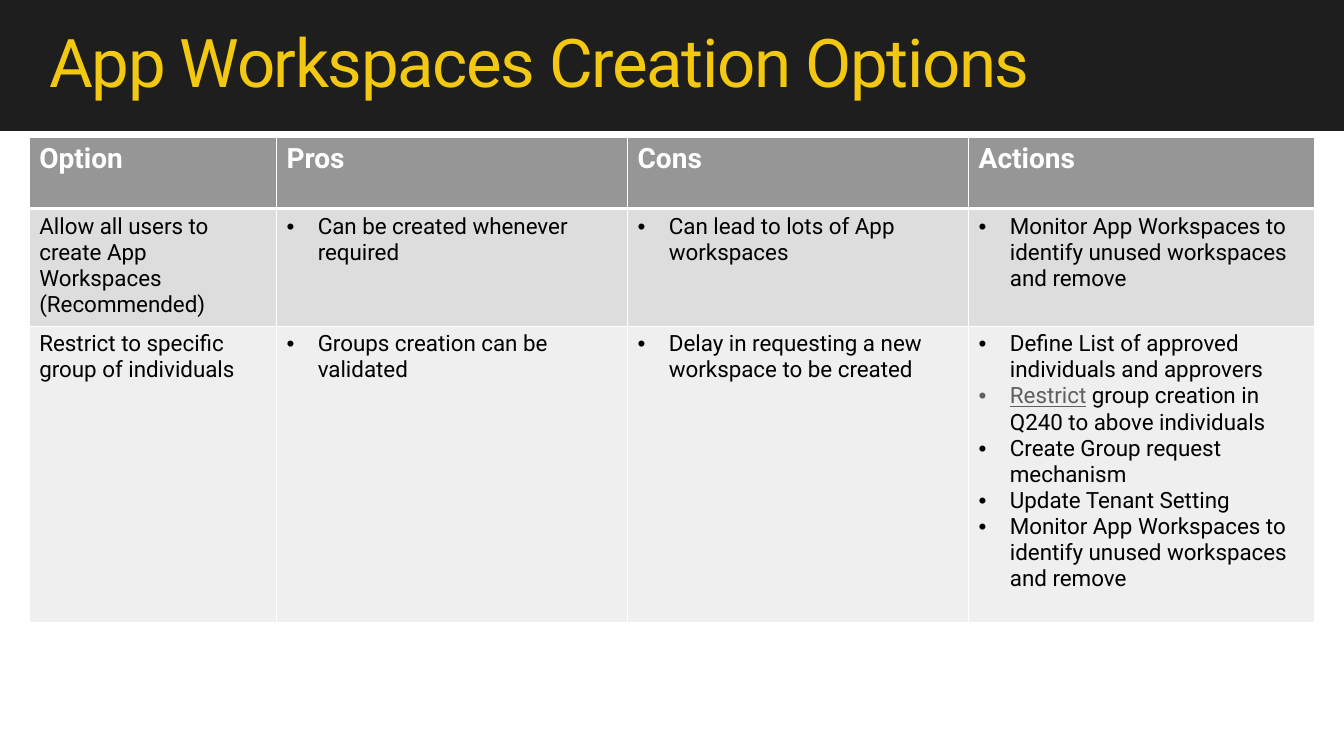
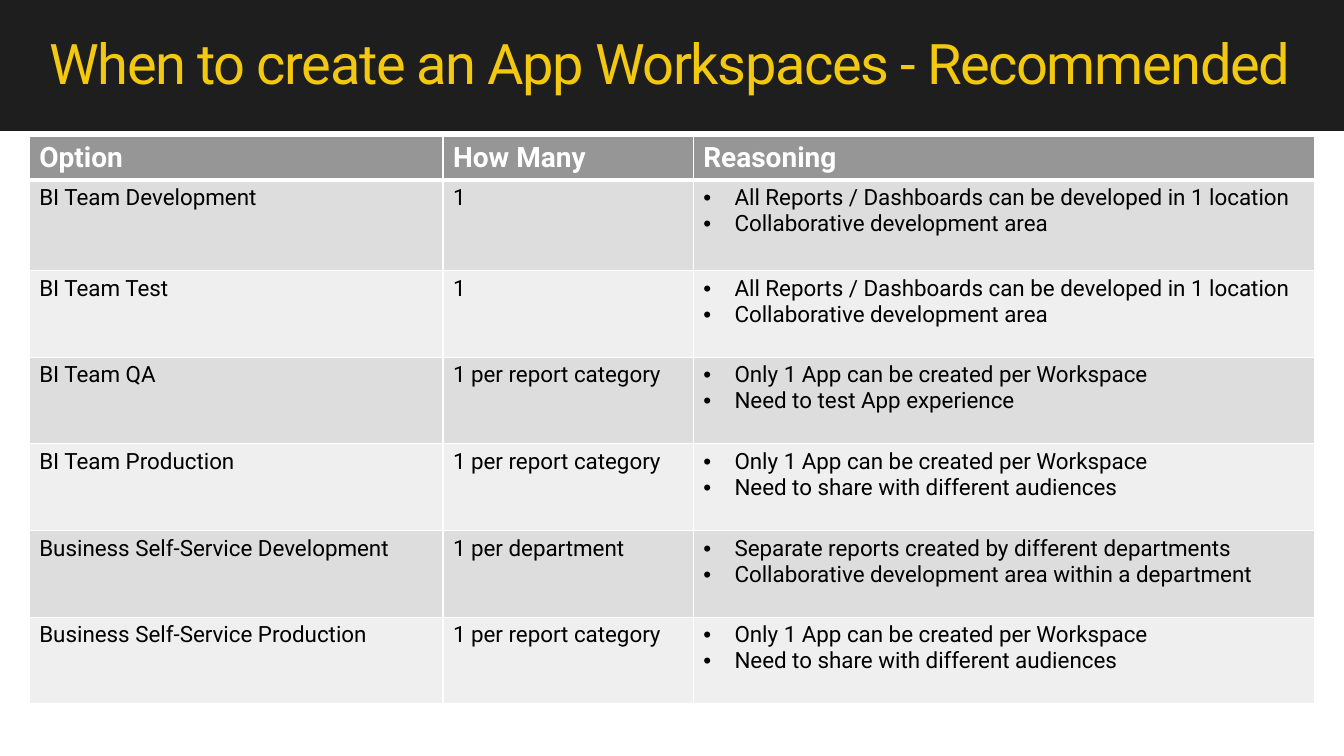
"""Build two slides that compare ways of creating app workspaces."""
from dataclasses import dataclass

from lxml import etree
from pptx import Presentation
from pptx import util as u
from pptx.dml.color import RGBColor
from pptx.enum import shapes, text
from pptx.oxml.ns import qn


@dataclass(frozen=True)
class Theme:
    font: str = "Roboto"
    band: str = "1E1E1E"
    title: str = "F2C811"
    head: str = "969696"
    odd: str = "DDDDDD"
    even: str = "EFEFEF"
    ink: str = "000000"
    link: str = "5F5F5F"
    white: str = "FFFFFF"
    top: int = 20
    body: int = 16
    thin: int = 1
    thick: int = 3


@dataclass(frozen=True)
class Run:
    text: str
    size: float
    color: str
    bold: bool = False
    line: bool = False
    gap: int = 0


@dataclass(frozen=True)
class Link:
    word: str
    rest: str


@dataclass(frozen=True)
class Page:
    title: str
    size: int
    y: float
    cols: tuple
    rows: tuple
    dots: int
    cells: tuple


T = Theme()
WIDE, HIGH = u.Inches(13.33), u.Inches(7.5)
EDGE = u.Inches(0.29)
SPAN = u.Inches(12.75)
HANG = u.Inches(0.31)


def rgb(code: str) -> RGBColor:
    return RGBColor.from_string(code)


def write(para, run: Run) -> None:
    r = para.add_run()
    r.text = run.text
    font = r.font
    font.name, font.size = T.font, u.Pt(run.size)
    font.bold, font.underline = run.bold, run.line
    font.color.rgb = rgb(run.color)
    if run.gap:
        r._r.get_or_add_rPr().set("spc", str(run.gap))


def bullet(para) -> None:
    props = para._p.get_or_add_pPr()
    props.set("marL", str(HANG))
    props.set("indent", str(-HANG))
    etree.SubElement(props, qn("a:buFont"), typeface="Arial")
    etree.SubElement(props, qn("a:buChar"), char="•")


def frame(cell, top: int, low: int) -> None:
    props = cell._tc.get_or_add_tcPr()
    for side, size in zip("LRTB", (T.thin, T.thin, top, low)):
        line = etree.SubElement(props, qn(f"a:ln{side}"), w=str(u.Pt(size)))
        fill = etree.SubElement(line, qn("a:solidFill"))
        etree.SubElement(fill, qn("a:srgbClr"), val=T.white)


def paint(cell, item, row: int, dots: bool) -> None:
    head = row == 0
    frame(cell, T.thick if row == 1 else T.thin, T.thick if head else T.thin)
    cell.fill.solid()
    cell.fill.fore_color.rgb = rgb(T.head if head else T.odd if row % 2 else T.even)
    body = cell.text_frame
    lines = item if isinstance(item, tuple) else (item,)
    for i, line in enumerate(lines):
        para = body.add_paragraph() if i else body.paragraphs[0]
        if dots and not head:
            bullet(para)
        if isinstance(line, Link):
            write(para, Run(line.word, T.body, T.link, line=True))
            write(para, Run(line.rest, T.body, T.ink))
        elif head:
            write(para, Run(line, T.top, T.white, bold=True))
        else:
            write(para, Run(line, T.body, T.ink))


def banner(slide, page: Page) -> None:
    band = slide.shapes.add_shape(shapes.MSO_SHAPE.RECTANGLE, 0, 0, WIDE, u.Inches(1.3))
    band.shadow.inherit = False
    band.fill.solid()
    band.fill.fore_color.rgb = rgb(T.band)
    band.line.fill.background()
    box = slide.shapes.add_textbox(EDGE, u.Inches(0.13), SPAN, u.Inches(1.05))
    body = box.text_frame
    body.word_wrap = True
    body.vertical_anchor = text.MSO_ANCHOR.MIDDLE
    body.margin_left, body.margin_right = u.Inches(0.2), u.Inches(0.16)
    body.margin_top = body.margin_bottom = u.Inches(0.1)
    para = body.paragraphs[0]
    para.line_spacing = 0.9
    write(para, Run(page.title, page.size, T.title, gap=-100))


def grid(slide, page: Page) -> None:
    tall = u.Inches(sum(page.rows))
    table = slide.shapes.add_table(
        len(page.rows), len(page.cols), EDGE, u.Inches(page.y), SPAN, tall).table
    for col, part in zip(table.columns, page.cols):
        col.width = int(SPAN * part / sum(page.cols))
    for row, size in zip(table.rows, page.rows):
        row.height = u.Inches(size)
    for r, line in enumerate(page.cells):
        for c, item in enumerate(line):
            paint(table.cell(r, c), item, r, c >= page.dots)


WATCH = "Monitor App Workspaces to identify unused workspaces and remove"
SHARED = ("All Reports / Dashboards can be developed in 1 location",
          "Collaborative development area")
SINGLE = "Only 1 App can be created per Workspace"
PUBLIC = (SINGLE, "Need to share with different audiences")
EACH = "1 per report category"

PAGES = (
    Page("App Workspaces Creation Options", 48, 1.36,
         (2.45, 3.48, 3.38, 3.43), (0.71, 1.14, 2.94), 1, (
             ("Option", "Pros", "Cons", "Actions"),
             (("Allow all users to create App Workspaces", "(Recommended)"),
              "Can be created whenever required",
              "Can lead to lots of App workspaces", WATCH),
             ("Restrict to specific group of individuals",
              "Groups creation can be validated",
              "Delay in requesting a new workspace to be created",
              ("Define List of approved individuals and approvers",
               Link("Restrict", " group creation in Q240 to above individuals"),
               "Create Group request mechanism",
               "Update Tenant Setting", WATCH)))),
    Page("When to create an App Workspaces - Recommended", 40, 1.35,
         (4.1, 2.48, 6.16), (0.43, 0.9) + (0.86,) * 5, 2, (
             ("Option", "How Many", "Reasoning"),
             ("BI Team Development", "1", SHARED),
             ("BI Team Test", "1", SHARED),
             ("BI Team QA", EACH, (SINGLE, "Need to test App experience")),
             ("BI Team Production", EACH, PUBLIC),
             ("Business Self-Service Development", "1 per department",
              ("Separate reports created by different departments",
               "Collaborative development area within a department")),
             ("Business Self-Service Production", EACH, PUBLIC))),
)


def main() -> None:
    deck = Presentation()
    deck.slide_width, deck.slide_height = WIDE, HIGH
    for page in PAGES:
        slide = deck.slides.add_slide(deck.slide_layouts[6])
        banner(slide, page)
        grid(slide, page)
    deck.save("out.pptx")


if __name__ == "__main__":
    main()
